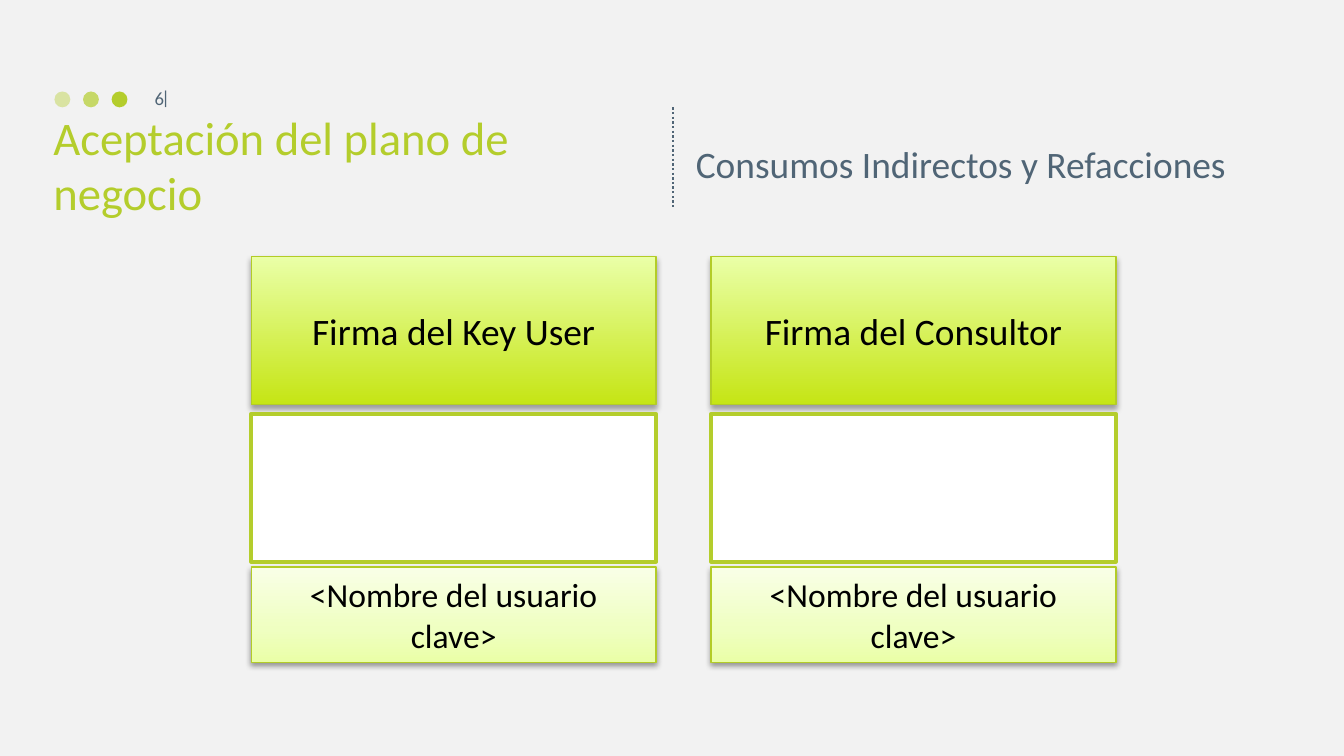
"""Build the business blueprint acceptance slide with its signature panels."""
from dataclasses import dataclass

from lxml import etree
from pptx import Presentation
from pptx import util as u
from pptx.dml.color import RGBColor
from pptx.enum import dml, shapes, text
from pptx.oxml.ns import qn

LIME, EDGE, SLATE = "B4CD2C", "B3CC27", "506576"
COLUMNS = (4.75, 13.44)
PANEL_W = 7.65


@dataclass
class Band:
    top: float
    height: float
    labels: tuple[str, str]
    size: int
    stops: tuple[tuple[int, str], ...] = ()
    shadow_alpha: int = 0
    shadow_dist: float = 0
    line: str = EDGE
    line_w: float = 0.75


BANDS = (
    Band(4.85, 2.8, ("Firma del Key User", "Firma del Consultor"), 20,
         ((0, "C5E514"), (100, "EAFFA7")), 35, 1.8),
    Band(7.82, 2.8, ("", ""), 18, line=LIME, line_w=2),
    Band(10.72, 1.8, ("<Nombre del usuario clave>",) * 2, 18,
         ((0, "EAFFA7"), (35, "EFFFC1"), (100, "F9FFE7")), 38, 1.6),
)


def rgb(value: str) -> RGBColor:
    return RGBColor.from_string(value)


def add_color(parent, value: str, alpha: int = 100) -> None:
    clr = etree.SubElement(parent, qn("a:srgbClr"), val=value)
    if alpha < 100:
        etree.SubElement(clr, qn("a:alpha"), val=str(alpha * 1000))


def write(sp, content: str, *, size: int, color: str, align=text.PP_ALIGN.LEFT,
          anchor=text.MSO_ANCHOR.MIDDLE, wrap: bool = True, before: float = 0,
          spacing: float = 1.0) -> None:
    tf = sp.text_frame
    tf.word_wrap = wrap
    tf.vertical_anchor = anchor
    p = tf.paragraphs[0]
    p.alignment = align
    p.space_before = u.Pt(before)
    p.line_spacing = spacing
    r = p.add_run()
    r.text = content
    r.font.name = "Calibri"
    r.font.size = u.Pt(size)
    r.font.color.rgb = rgb(color)


def add_text(s, x: float, y: float, w: float, h: float, content: str, **fmt):
    sp = s.shapes.add_textbox(u.Cm(x), u.Cm(y), u.Cm(w), u.Cm(h))
    write(sp, content, **fmt)
    return sp


def add_solid(s, kind, x: float, y: float, w: float, h: float, color: str, alpha: int = 100):
    sp = s.shapes.add_shape(kind, u.Cm(x), u.Cm(y), u.Cm(w), u.Cm(h))
    sp.shadow.inherit = False
    sp.fill.solid()
    sp.fill.fore_color.rgb = rgb(color)
    if alpha < 100:
        clr = sp.fill._xPr.find(qn("a:solidFill"))[0]
        etree.SubElement(clr, qn("a:alpha"), val=str(alpha * 1000))
    sp.line.fill.background()
    return sp


def add_gradient(sp, stops: tuple[tuple[int, str], ...]) -> None:
    sp.fill.gradient()
    sp.fill.gradient_angle = 90
    stop_list = sp._element.spPr.find(qn("a:gradFill")).find(qn("a:gsLst"))
    for old in list(stop_list):
        stop_list.remove(old)
    for pos, color in stops:
        add_color(etree.SubElement(stop_list, qn("a:gs"), pos=str(pos * 1000)), color)


def add_shadow(sp, alpha: int, dist: float) -> None:
    effects = sp._element.spPr.find(qn("a:effectLst"))
    shadow = etree.SubElement(effects, qn("a:outerShdw"), blurRad=str(u.Pt(3.1)),
                              dist=str(u.Pt(dist)), dir="5400000", rotWithShape="0")
    add_color(shadow, "000000", alpha)


def add_band(s, band: Band) -> None:
    for x, label in zip(COLUMNS, band.labels):
        sp = add_solid(s, shapes.MSO_SHAPE.RECTANGLE, x, band.top, PANEL_W, band.height, "FFFFFF")
        sp.line.color.rgb = rgb(band.line)
        sp.line.width = u.Pt(band.line_w)
        if band.stops:
            add_gradient(sp, band.stops)
            add_shadow(sp, band.shadow_alpha, band.shadow_dist)
        if label:
            write(sp, label, size=band.size, color="000000", align=text.PP_ALIGN.CENTER)


def add_divider(s, x: float, top: float, bottom: float) -> None:
    line = s.shapes.add_connector(shapes.MSO_CONNECTOR.STRAIGHT,
                                  u.Cm(x), u.Cm(top), u.Cm(x), u.Cm(bottom))
    line.line.color.rgb = rgb(SLATE)
    line.line.width = u.Pt(1.25)
    line.line.dash_style = dml.MSO_LINE.ROUND_DOT
    etree.SubElement(line._element.spPr, qn("a:effectLst"))


def main() -> None:
    prs = Presentation()
    prs.slide_width, prs.slide_height = u.Cm(25.4), u.Cm(14.29)
    s = prs.slides.add_slide(prs.slide_layouts[6])
    s.background.fill.solid()
    s.background.fill.fore_color.rgb = rgb("F2F2F2")

    for i, alpha in enumerate((40, 70, 100)):
        add_solid(s, shapes.MSO_SHAPE.OVAL, 1.03 + 0.54 * i, 1.73, 0.3, 0.3, LIME, alpha)
    add_divider(s, 12.72, 2.03, 3.93)
    bar = add_text(s, 3.05, 1.68, 0.15, 0.38, "|", size=10, color=SLATE, wrap=False,
                   anchor=text.MSO_ANCHOR.TOP, spacing=0.5)
    bar.text_frame.auto_size = text.MSO_AUTO_SIZE.SHAPE_TO_FIT_TEXT
    add_text(s, 0.76, 1.9, 11.66, 2.39, "Aceptación del plano de negocio",
             size=25, color=LIME, anchor=text.MSO_ANCHOR.BOTTOM)
    add_text(s, 12.9, 1.9, 11.23, 2.39, "Consumos Indirectos y Refacciones",
             size=20, color=SLATE, before=4)
    for band in BANDS:
        add_band(s, band)
    add_text(s, 2.18, 1.47, 1.17, 0.76, "6", size=10, color=SLATE, align=text.PP_ALIGN.RIGHT)

    prs.save("out.pptx")


if __name__ == "__main__":
    main()
